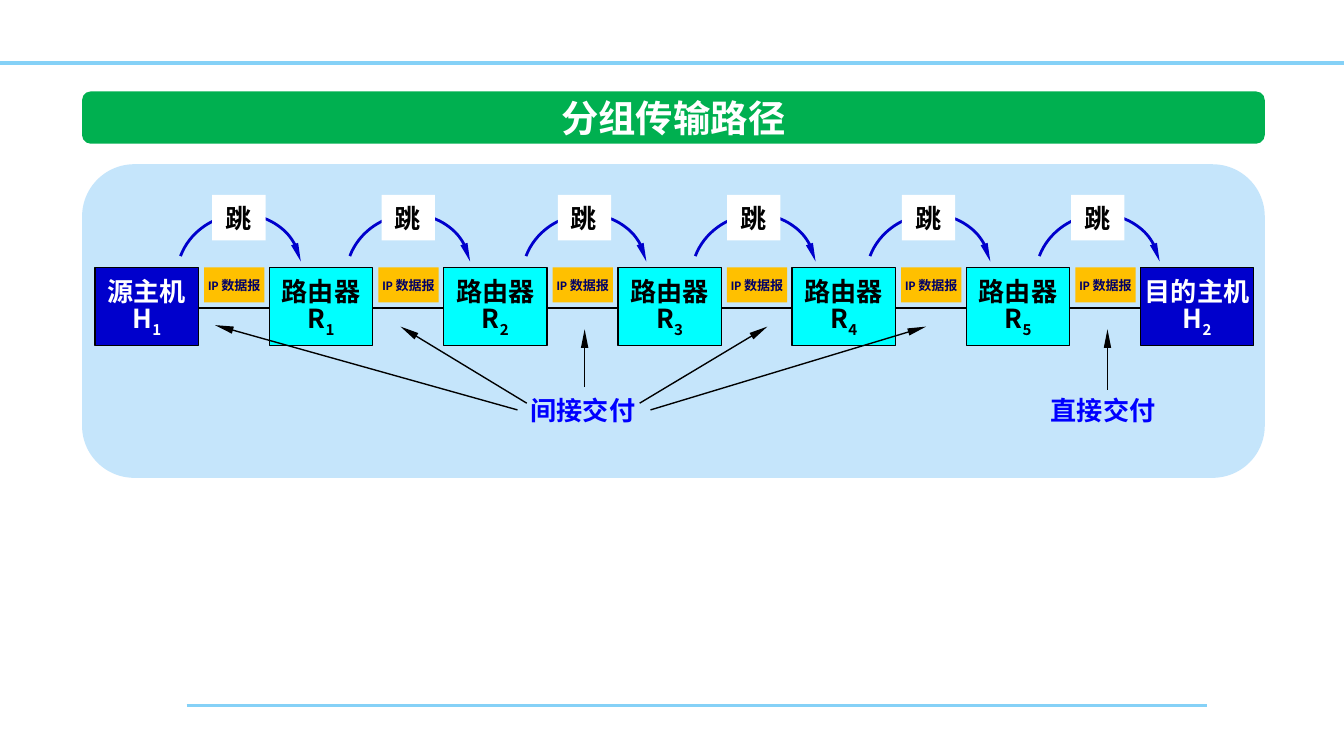
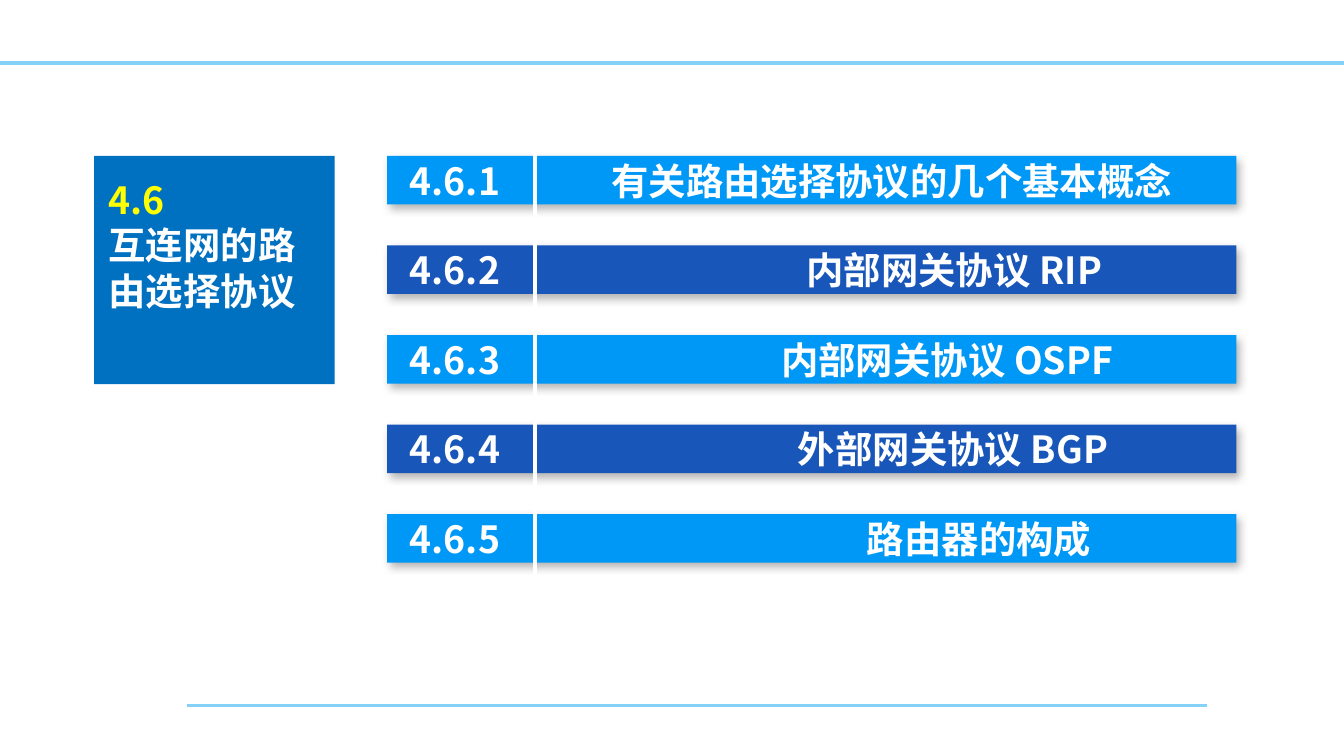
"""Build two slides: the hop-by-hop packet path and the section 4.6 contents."""
from lxml.etree import SubElement
from pptx import Presentation
from pptx.dml.color import RGBColor
from pptx.enum.shapes import MSO_CONNECTOR, MSO_SHAPE
from pptx.enum.text import MSO_ANCHOR, MSO_AUTO_SIZE, PP_ALIGN
from pptx.oxml.ns import qn
from pptx.util import Pt

WHITE = RGBColor(0xFF, 0xFF, 0xFF)
BLACK = RGBColor(0x00, 0x00, 0x00)
YELLOW = RGBColor(0xFF, 0xFF, 0x00)
RULE_BLUE = RGBColor(0x85, 0xD1, 0xF7)
PANEL_BLUE = RGBColor(0xC5, 0xE5, 0xFB)
TITLE_GREEN = RGBColor(0x00, 0xB0, 0x50)
HOST_BLUE = RGBColor(0x00, 0x00, 0xCC)
ROUTER_CYAN = RGBColor(0x00, 0xFF, 0xFF)
DELIVERY_BLUE = RGBColor(0x00, 0x00, 0xFF)
DATAGRAM_GOLD = RGBColor(0xFF, 0xC0, 0x00)
DATAGRAM_NAVY = RGBColor(0x00, 0x00, 0x66)
SECTION_BLUE = RGBColor(0x00, 0x70, 0xC0)
ROW_COLORS = [RGBColor(0x00, 0x98, 0xF6), RGBColor(0x19, 0x56, 0xB9)]

TITLE_FONT = {"name": "Noto Sans CJK SC", "size": Pt(20), "bold": True}
LABEL_FONT = {**TITLE_FONT, "size": Pt(14)}
DATAGRAM_FONT = {"name": "Calibri", "size": Pt(7), "bold": True}
LINE_HEIGHT = 1.22

CENTERED = {"anchor": MSO_ANCHOR.MIDDLE, "align": PP_ALIGN.CENTER}


def add_line(slide, start, end, color, width):
    connector = slide.shapes.add_connector(
        MSO_CONNECTOR.STRAIGHT, *[Pt(value) for value in (*start, *end)])
    connector.line.color.rgb = color
    connector.line.width = Pt(width)
    SubElement(connector.element.spPr, qn("a:effectLst"))
    return connector


def add_box(slide, place, kind=None, fill=None, outline=None, paragraphs=(), font=None,
            color=BLACK, anchor=MSO_ANCHOR.TOP, align=PP_ALIGN.LEFT, wrap=False):
    lengths = [Pt(value) for value in place]
    if kind is None:
        shape = slide.shapes.add_textbox(*lengths)
    else:
        shape = slide.shapes.add_shape(kind, *lengths)
        shape.shadow.inherit = False
    if fill is None:
        shape.fill.background()
    else:
        shape.fill.solid()
        shape.fill.fore_color.rgb = fill
    if outline is None:
        shape.line.fill.background()
    else:
        shape.line.color.rgb, shape.line.width = outline
    frame = shape.text_frame
    frame.word_wrap = wrap
    frame.vertical_anchor = anchor
    if anchor == MSO_ANCHOR.TOP and paragraphs:
        frame.auto_size = MSO_AUTO_SIZE.SHAPE_TO_FIT_TEXT
    for number, texts in enumerate(paragraphs):
        paragraph = frame.add_paragraph() if number else frame.paragraphs[0]
        paragraph.alignment = align
        paragraph.line_spacing = Pt(font["size"].pt * LINE_HEIGHT)
        for position, text in enumerate(texts):
            run = paragraph.add_run()
            run.text = text
            for name, value in font.items():
                setattr(run.font, name, value)
            run.font.color.rgb = color
            properties = run._r.get_or_add_rPr()
            SubElement(properties, qn("a:ea"), typeface=font["name"])
            if position:
                properties.set("baseline", "-25000")
    return shape


presentation = Presentation()
presentation.slide_width = Pt(720)
presentation.slide_height = Pt(405)
path_slide, contents_slide = [
    presentation.slides.add_slide(presentation.slide_layouts[6]) for _ in range(2)]
for slide in (path_slide, contents_slide):
    add_line(slide, (100, 378), (646.5, 378), RULE_BLUE, 1.5)
    add_line(slide, (0, 33.8), (720, 33.8), RULE_BLUE, 2)

add_box(path_slide, (44, 88, 633.6, 168), MSO_SHAPE.ROUNDED_RECTANGLE, PANEL_BLUE)
title_bar = add_box(path_slide, (44, 49, 633.6, 28), MSO_SHAPE.ROUNDED_RECTANGLE, TITLE_GREEN)
title_bar.adjustments[0] = 0.167
add_box(path_slide, (293, 46.8, 135.4, 31.7), paragraphs=[["分组传输路径"]],
        font=TITLE_FONT, color=WHITE, align=PP_ALIGN.CENTER)

NODE_LEFT, NODE_TOP, NODE_STEP = 51, 143.3, 93.35
add_line(path_slide, (91.4, 165), (630.7, 165), BLACK, 1.5)
nodes = [("源主机", "H", "1"), *[("路由器", "R", str(n)) for n in range(1, 6)],
         ("目的主机", "H", "2")]
for index, (name, letter, subscript) in enumerate(nodes):
    is_host = letter == "H"
    width = 60.5 if name == "目的主机" else 55.4
    add_box(path_slide, (NODE_LEFT + index * NODE_STEP, NODE_TOP, width, 41.8),
            MSO_SHAPE.RECTANGLE, HOST_BLUE if is_host else ROUTER_CYAN, (BLACK, Pt(0.75)),
            [[name], [letter, subscript]], LABEL_FONT, WHITE if is_host else BLACK, **CENTERED)

arrows = []
for index, hop_left in enumerate([94.3, 185, 279.4, 370.1, 463.7, 554.4]):
    arc = add_box(path_slide, (hop_left, 115.2, 67.7, 63.4), MSO_SHAPE.ARC,
                  outline=(HOST_BLUE, Pt(1.5)))
    arc.rotation = 336.5
    arc.adjustments[0], arc.adjustments[1] = 132.39, 7.13
    arrows.append(arc)
    add_box(path_slide, (hop_left + 19.4, 104.4, 28.6, 24.5), MSO_SHAPE.RECTANGLE, WHITE,
            paragraphs=[["跳"]], font=LABEL_FONT)
    add_box(path_slide, (NODE_LEFT + 58.3 + index * NODE_STEP, NODE_TOP, 32.4, 18.7),
            MSO_SHAPE.RECTANGLE, DATAGRAM_GOLD, paragraphs=[["IP 数据报"]],
            font=DATAGRAM_FONT, color=DATAGRAM_NAVY, **CENTERED)

for text, left in (("间接交付", 277.2), ("直接交付", 555.8)):
    add_box(path_slide, (left, 207.4, 71.3, 24.5), paragraphs=[[text]],
            font=LABEL_FONT, color=DELIVERY_BLUE)
for start, end in (
    ((593.3, 208.8), (593.3, 176.4)),
    ((313.2, 207.4), (313.2, 176.4)),
    ((342.7, 216), (411.1, 175)),
    ((348.5, 219.6), (496.1, 175)),
    ((277.2, 219.6), (115.2, 174.2)),
    ((282.2, 216), (214.6, 175)),
):
    arrows.append(add_line(path_slide, start, end, BLACK, 0.75))
for arrow in arrows:
    SubElement(arrow.element.spPr.find(qn("a:ln")), qn("a:tailEnd"),
               type="triangle", w="sm", len="lg")

add_box(contents_slide, (50.4, 83.5, 128.9, 122.4), MSO_SHAPE.RECTANGLE, SECTION_BLUE)
heading = add_box(contents_slide, (51.1, 90.7, 128.2, 79.9),
                  paragraphs=[["4.6"], ["互连网的路由选择协议"]],
                  font=TITLE_FONT, color=WHITE, wrap=True)
heading.text_frame.paragraphs[0].runs[0].font.color.rgb = YELLOW

ROW_STEP = 48
sections = [
    ("有关路由选择协议的几个基本概念", 108),
    ("内部网关协议 RIP", 212.5),
    ("内部网关协议 OSPF", 199),
    ("外部网关协议 BGP", 208),
    ("路由器的构成", 245),
]
for index in range(len(sections)):
    row = add_box(contents_slide, (207.4, 83.5 + index * ROW_STEP, 455, 26),
                  MSO_SHAPE.RECTANGLE, ROW_COLORS[index % 2])
    shadow = SubElement(row.element.spPr.find(qn("a:effectLst")), qn("a:outerShdw"),
                        blurRad=str(Pt(4.5)), dist=str(Pt(2.6)), dir=str(53 * 60000))
    shadow_color = SubElement(shadow, qn("a:srgbClr"), val=str(BLACK))
    SubElement(shadow_color, qn("a:alpha"), val="30000")
add_line(contents_slide, (286.6, 77.8), (286.6, 311), WHITE, 2.25)

section_list = add_box(
    contents_slide, (212.4, 80.6, 439.2, 225.4),
    paragraphs=[[f"4.6.{number}\t{name}"] for number, (name, _) in enumerate(sections, 1)],
    font=TITLE_FONT, color=WHITE, wrap=True)
for index, paragraph in enumerate(section_list.text_frame.paragraphs):
    if index:
        paragraph.space_before = Pt(ROW_STEP - 20 * LINE_HEIGHT)
    tab_list = SubElement(paragraph._p.get_or_add_pPr(), qn("a:tabLst"))
    SubElement(tab_list, qn("a:tab"), pos=str(Pt(sections[index][1])), algn="l")

presentation.save("out.pptx")
